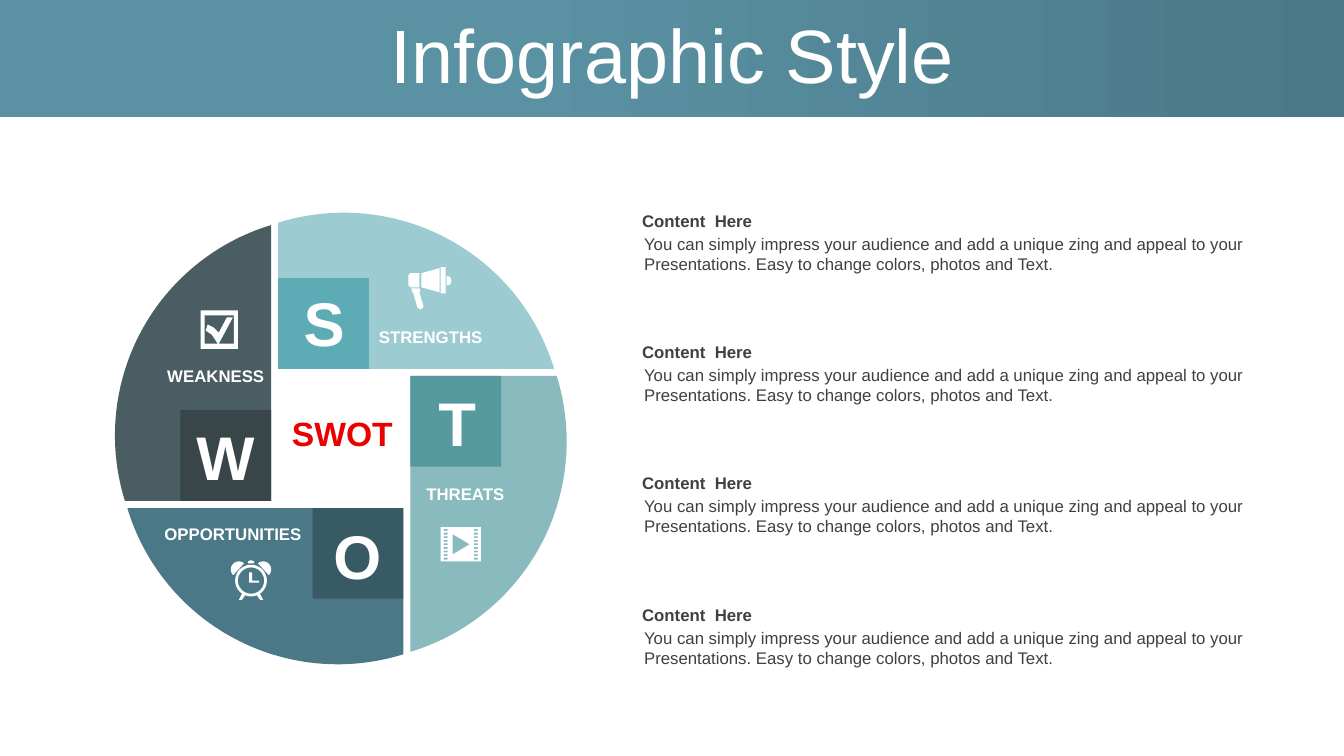
"""Build the SWOT infographic slide: a four-part wheel beside four content blocks."""
from dataclasses import dataclass
from math import acos, asin, cos, pi, sin, tau

from pptx import Presentation
from pptx.dml.color import RGBColor
from pptx.enum.shapes import MSO_SHAPE
from pptx.enum.text import MSO_ANCHOR, MSO_AUTO_SIZE, PP_ALIGN
from pptx.util import Pt

PX = 9144
FONT = "Arial"
RECT = MSO_SHAPE.RECTANGLE
MIDDLE, TOP = MSO_ANCHOR.MIDDLE, MSO_ANCHOR.TOP
LEFT, CENTER, RIGHT = PP_ALIGN.LEFT, PP_ALIGN.CENTER, PP_ALIGN.RIGHT
NO_AUTOFIT = MSO_AUTO_SIZE.NONE

COLORS = {
    "white": "FFFFFF", "text": "404040", "red": "EA0000",
    "band_start": "5A92A3", "band_end": "4A7886",
    "opportunities": "4A7886", "opportunities_tile": "385A64",
    "threats": "88BABE", "threats_tile": "56999E",
    "strengths": "9CCCD2", "strengths_tile": "5DACB5",
    "weakness": "4A5D62", "weakness_tile": "38464A",
}
HUB = (338, 435)
CORNER = (62, 69)
ARC_CENTER = (-3, 6)
RADIUS = 218
TILE = 90
TILE_CENTER = (17, 114)
HEADING = "Content  Here"
BODY = ("You can simply impress your audience and add a unique zing and appeal to your "
        "Presentations. Easy to change colors, photos and Text.")

Point = tuple[float, float]
Contour = list[Point]


@dataclass(frozen=True)
class Box:
    left: int
    top: int
    width: int
    height: int


@dataclass(frozen=True)
class Quadrant:
    name: str
    letter_box: Box
    label_box: Box
    label_align: PP_ALIGN


QUADRANTS = [
    Quadrant("opportunities", Box(314, 509, 81, 84), Box(139, 515, 170, 30), RIGHT),
    Quadrant("threats", Box(413, 377, 81, 84), Box(413, 475, 155, 30), LEFT),
    Quadrant("strengths", Box(281, 278, 81, 84), Box(366, 319, 176, 30), LEFT),
    Quadrant("weakness", Box(183, 411, 81, 84), Box(109, 358, 163, 30), RIGHT),
]


def rgb(name: str) -> RGBColor:
    return RGBColor.from_string(COLORS[name])


def emu(box: Box) -> list[int]:
    return [side * PX for side in (box.left, box.top, box.width, box.height)]


def arc(center: Point, radius: float, start: float, end: float, steps: int = 60) -> Contour:
    angles = [start + (end - start) * step / steps for step in range(steps + 1)]
    return [(center[0] + radius * cos(a), center[1] + radius * sin(a)) for a in angles]


def rectangle(left: float, top: float, right: float, bottom: float) -> Contour:
    return [(left, top), (right, top), (right, bottom), (left, bottom)]


def turned(point: Point, turns: int) -> Point:
    x, y = point
    for _ in range(turns):
        x, y = y, -x
    return HUB[0] + x, HUB[1] + y


def paint(shape, color: str) -> None:
    shape.shadow.inherit = False
    shape.fill.solid()
    shape.fill.fore_color.rgb = rgb(color)
    shape.line.fill.background()


def add_outline(page, contours: list[Contour], color: str) -> None:
    scaled = [[(round(x * PX), round(y * PX)) for x, y in contour] for contour in contours]
    builder = page.shapes.build_freeform(*scaled[0][0])
    builder.add_line_segments(scaled[0][1:], close=True)
    for contour in scaled[1:]:
        builder.move_to(*contour[0])
        builder.add_line_segments(contour[1:], close=True)
    paint(builder.convert_to_shape(), color)


def add_text(page, box: Box, text: str, size: int, color: str, bold: bool = True,
             align: PP_ALIGN = LEFT, anchor: MSO_ANCHOR = TOP) -> None:
    frame = page.shapes.add_textbox(*emu(box)).text_frame
    frame.word_wrap = True
    frame.vertical_anchor = anchor
    style(frame.paragraphs[0], text, size, color, bold, align)


def style(para, text: str, size: int, color: str, bold: bool, align: PP_ALIGN) -> None:
    para.text = text
    para.alignment = align
    para.font.name = FONT
    para.font.size = Pt(size)
    para.font.bold = bold
    para.font.color.rgb = rgb(color)


def add_header(page) -> None:
    band = page.shapes.add_shape(RECT, *emu(Box(0, 0, 1333, 116)))
    paint(band, "band_start")
    band.fill.gradient()
    band.fill.gradient_angle = 0
    stops = zip(band.fill.gradient_stops, ("band_start", "band_end"), (0.38, 1))
    for stop, color, position in stops:
        stop.color.rgb = rgb(color)
        stop.position = position
    page.shapes._spTree.insert(2, band._element)

    title = page.shapes.title
    title.left, title.top, title.width, title.height = emu(Box(34, 19, 1266, 79))
    frame = title.text_frame
    frame.auto_size = NO_AUTOFIT
    frame.vertical_anchor = MIDDLE
    style(frame.paragraphs[0], "Infographic Style", 54, "white", False, CENTER)
    frame.paragraphs[0].line_spacing = 0.9


def add_quadrant(page, quadrant: Quadrant, turns: int) -> None:
    start = acos((CORNER[0] - ARC_CENTER[0]) / RADIUS)
    end = pi - asin((CORNER[1] - ARC_CENTER[1]) / RADIUS)
    sector = [CORNER, *arc(ARC_CENTER, RADIUS, start, end)]
    add_outline(page, [[turned(point, turns) for point in sector]], quadrant.name)

    x, y = turned(TILE_CENTER, turns)
    tile = Box(x - TILE // 2, y - TILE // 2, TILE, TILE)
    paint(page.shapes.add_shape(RECT, *emu(tile)), f"{quadrant.name}_tile")
    label = quadrant.name.upper()
    add_text(page, quadrant.letter_box, label[0], 44, "white", align=CENTER)
    add_text(page, quadrant.label_box, label, 12, "white", align=quadrant.label_align)


def clock() -> list[Contour]:
    middle = (249, 576)
    left_foot = [(240, 595), (237, 595), (240, 589), (243, 591)]
    left_bell = arc((237, 565), 8, 0.75 * pi, 1.72 * pi)
    mirrored = [[(2 * middle[0] - x, y) for x, y in part] for part in (left_foot, left_bell)]
    hands = [(247, 568), (250, 568), (250, 576), (257, 576), (257, 578), (247, 578)]
    button = [(246, 559), (246, 557), (248, 556), (250, 556), (252, 557), (252, 559)]
    rings = [arc(middle, radius, 0, tau) for radius in (15.7, 13)]
    return [*rings, hands, left_foot, left_bell, *mirrored, button]


def checkbox() -> list[Contour]:
    tick = [(204, 328), (206, 322), (212, 325), (217, 330), (225, 315), (231, 315),
            (217, 341), (216, 341), (210, 332)]
    return [rectangle(199, 308, 236, 346), rectangle(203, 313, 232, 341), tick]


def megaphone() -> list[Contour]:
    handle = [(408, 286), (416, 286), (417, 288), (416, 290), (420, 304), (419, 306),
              (417, 307), (414, 305), (410, 291), (409, 290)]
    back = [(407, 271), (416, 271), (416, 285), (407, 285), (405, 283), (405, 273)]
    cone = [(436, 266), (436, 290), (418, 285), (418, 271)]
    knob = arc((443, 278.5), 4.7, -pi / 2, pi / 2)
    return [handle, back, cone, rectangle(437, 265, 442, 291), knob]


def film() -> list[Contour]:
    holes = [rectangle(left, 525 + 3.54 * row, left + 4, 526.8 + 3.54 * row)
             for left in (440, 470) for row in range(9)]
    return [rectangle(437, 523, 477, 557), [(449, 530), (449, 550), (466, 540)], *holes]


def main() -> None:
    deck = Presentation()
    deck.slide_width, deck.slide_height = 1333 * PX, 750 * PX
    page = deck.slides.add_slide(deck.slide_layouts.get_by_name("Title Only"))
    add_header(page)
    for turns, quadrant in enumerate(QUADRANTS):
        add_quadrant(page, quadrant, turns)
    add_text(page, Box(275, 405, 129, 50), "SWOT", 24, "red", align=CENTER)
    for row in range(4):
        top = 204 + row * 391 // 3
        add_text(page, Box(627, top, 632, 30), HEADING, 12, "text", anchor=MIDDLE)
        add_text(page, Box(629, top + 23, 630, 50), BODY, 12, "text", bold=False)
    for icon in (clock(), checkbox(), megaphone(), film()):
        add_outline(page, icon, "white")
    deck.save("out.pptx")


if __name__ == "__main__":
    main()
